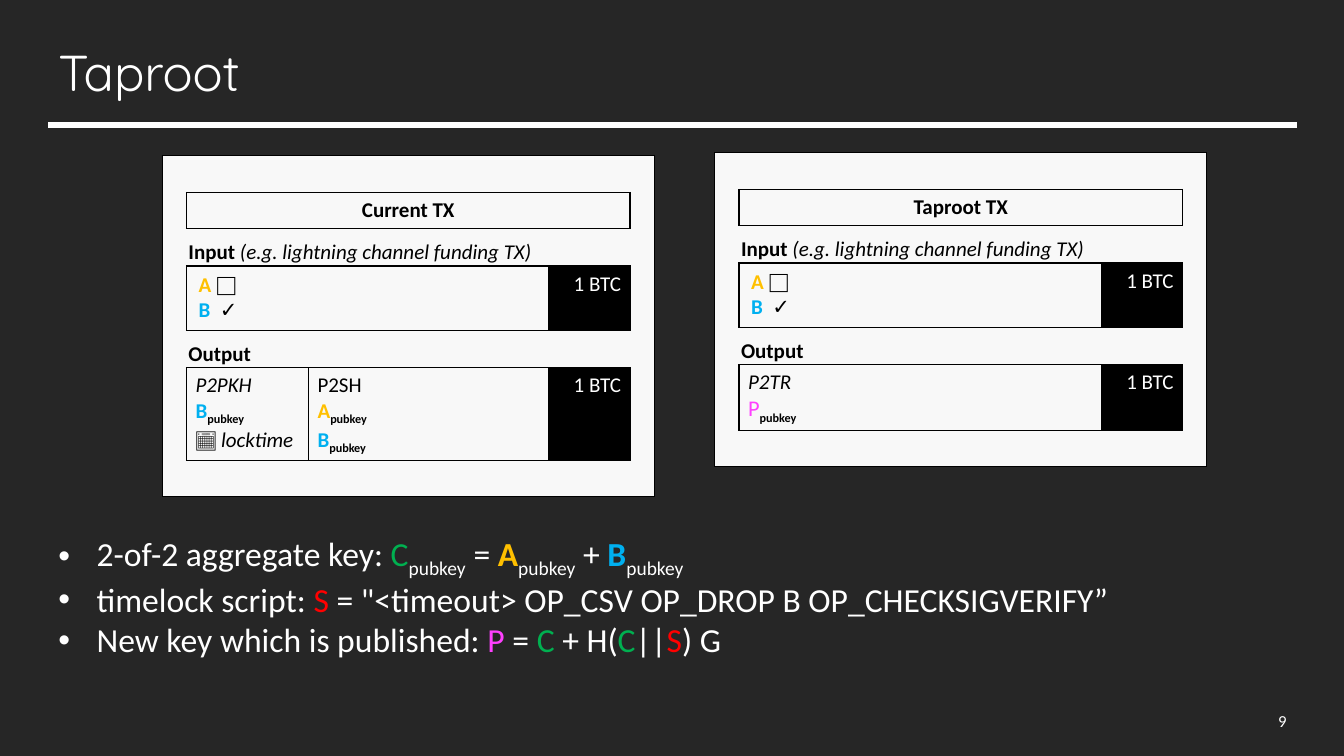
from dataclasses import dataclass
from itertools import product
from lxml.etree import SubElement
from pptx import Presentation
from pptx.dml.color import RGBColor
from pptx.enum.shapes import MSO_CONNECTOR
from pptx.enum.text import MSO_ANCHOR as Anchor, MSO_AUTO_SIZE as AutoSize, PP_ALIGN as Align
from pptx.oxml.ns import qn
from pptx.slide import Slide
from pptx.table import Table, _Cell as Cell
from pptx.text.text import TextFrame, _Paragraph as Para
from pptx.util import Inches, Pt

BACKGROUND = RGBColor(0x26, 0x26, 0x26)
PAPER = RGBColor(0xF8, 0xF8, 0xF8)
WHITE = RGBColor(0xFF, 0xFF, 0xFF)
BLACK = RGBColor(0x00, 0x00, 0x00)
GOLD = RGBColor(0xFF, 0xC0, 0x00)
BLUE = RGBColor(0x00, 0xB0, 0xF0)
GREEN = RGBColor(0x00, 0xB0, 0x50)
RED = RGBColor(0xFF, 0x00, 0x00)
PINK = RGBColor(0xFF, 0x40, 0xFF)
COLS = (0.24, 1.21, 1.64, 0.74, 0.81, 0.24)
BOX_ROWS = (1, 3, 5)
AMOUNT_COL = 4
MERGES = ((1, 4), (2, 4), (4, 4), (6, 3))


@dataclass(frozen=True)
class Run:
    text: str
    color: RGBColor | None = None
    bold: bool = False
    italic: bool = False
    sub: bool = False
    size: float | None = None


Lines = tuple[tuple[Run, ...], ...]


@dataclass(frozen=True)
class Transaction:
    title: str
    left: float
    top: float
    output_height: float
    outputs: tuple[Lines, ...]


@dataclass(frozen=True)
class Entry:
    row: int
    col: int
    lines: Lines
    inset: tuple[float, float] = (0.09, 0.05)
    align: Align = Align.LEFT
    anchor: Anchor = Anchor.TOP


def key(letter: str, color: RGBColor, bold: bool = True, size: float | None = None) -> tuple[Run, ...]:
    return Run(letter, color, bold, size=size), Run("pubkey", bold=True, sub=True)


def big_key(letter: str, color: RGBColor, bold: bool = True) -> tuple[Run, ...]:
    return Run(letter, color, bold), Run("pubkey", sub=True)


TRANSACTIONS = (
    Transaction("Current TX", 1.61, 1.54, 0.92, (
        ((Run("P2PKH", italic=True),), key("B", BLUE),
         (Run("📅 ", bold=True), Run("locktime", italic=True))),
        ((Run("P2SH"),), key("A", GOLD), key("B", BLUE)))),
    Transaction("Taproot TX", 7.09, 1.51, 0.64, (
        ((Run("P2TR", italic=True),), key("P", PINK, False, 16)),)),
)
BULLETS: Lines = (
    (Run("2-of-2 aggregate key: "), *big_key("C", GREEN, False), Run(" = "),
     *big_key("A", GOLD), Run(" + "), *big_key("B", BLUE)),
    (Run("timelock script: "), Run("S", RED),
     Run(' = "<timeout> OP_CSV OP_DROP B OP_CHECKSIGVERIFY”')),
    (Run("New key which is published: "), Run("P", PINK), Run(" = "), Run("C", GREEN),
     Run(" + H("), Run("C", GREEN), Run("||"), Run("S", RED), Run(") G")),
)


def write(tf: TextFrame, lines: Lines, size: float, color: RGBColor,
          align: Align = Align.LEFT, font: str = "Calibri") -> None:
    for i, runs in enumerate(lines):
        p = tf.paragraphs[0] if i == 0 else tf.add_paragraph()
        p.alignment = align
        for run in runs:
            r = p.add_run()
            r.text = run.text
            r.font.name, r.font.size = font, Pt(run.size or size)
            r.font.bold, r.font.italic = run.bold, run.italic
            r.font.color.rgb = run.color or color
            if run.sub:
                r._r.get_or_add_rPr().set("baseline", "-25000")


def add_text(s: Slide, box: tuple[float, float, float, float], lines: Lines, size: float,
             align: Align = Align.LEFT, font: str = "Calibri",
             anchor: Anchor = Anchor.MIDDLE) -> TextFrame:
    tf = s.shapes.add_textbox(*map(Inches, box)).text_frame
    tf.word_wrap, tf.vertical_anchor = True, anchor
    write(tf, lines, size, WHITE, align, font)
    return tf


def add_bullet(p: Para) -> None:
    pPr = p._p.get_or_add_pPr()
    pPr.set("marL", str(Inches(0.38)))
    pPr.set("indent", str(-Inches(0.38)))
    SubElement(pPr, qn("a:buFont"), typeface="Arial")
    SubElement(pPr, qn("a:buChar"), char="•")


def region(row: int, col: int, split: bool) -> str:
    if not (0 <= row <= 6 and 0 <= col <= 5):
        return "outside"
    if row not in BOX_ROWS or not 1 <= col <= AMOUNT_COL:
        return "frame"
    return "first output" if split and (row, col) == (5, 1) else "box"


def draw_borders(cell: Cell, row: int, col: int, split: bool) -> None:
    width = cell.span_width if cell.is_merge_origin else 1
    sides = {"L": (row, col - 1), "R": (row, col + width),
             "T": (row - 1, col), "B": (row + 1, col)}
    tcPr = cell._tc.get_or_add_tcPr()
    for side, neighbour in sides.items():
        ln = SubElement(tcPr, qn(f"a:ln{side}"), w=str(Pt(1)))
        if region(*neighbour, split) == region(row, col, split):
            SubElement(ln, qn("a:noFill"))
        else:
            SubElement(SubElement(ln, qn("a:solidFill")), qn("a:srgbClr"), val=str(BLACK))


def fill_entry(table: Table, entry: Entry) -> None:
    cell = table.cell(entry.row, entry.col)
    cell.margin_left = cell.margin_right = Inches(entry.inset[0])
    cell.margin_top = cell.margin_bottom = Inches(entry.inset[1])
    cell.vertical_anchor = entry.anchor
    color = WHITE if entry.col == AMOUNT_COL else BLACK
    write(cell.text_frame, entry.lines, 15, color, entry.align)


def add_transaction(s: Slide, tx: Transaction) -> None:
    rows = (0.37, 0.36, 0.37, 0.64, 0.37, tx.output_height, 0.36)
    table = s.shapes.add_table(len(rows), len(COLS), Inches(tx.left), Inches(tx.top),
                               Inches(sum(COLS)), Inches(sum(rows))).table
    table.first_row = table.horz_banding = False
    for column, width in zip(table.columns, COLS):
        column.width = Inches(width)
    for table_row, height in zip(table.rows, rows):
        table_row.height = Inches(height)
    for row, last in MERGES:
        table.cell(row, 1).merge(table.cell(row, last))
    for row, col in product(range(len(rows)), range(len(COLS))):
        cell = table.cell(row, col)
        cell.margin_left = cell.margin_right = cell.margin_top = cell.margin_bottom = 0
        draw_borders(cell, row, col, len(tx.outputs) > 1)
        cell.fill.solid()
        cell.fill.fore_color.rgb = BLACK if col == AMOUNT_COL and row in (3, 5) else PAPER
    label = {"inset": (0.02, 0.01), "anchor": Anchor.BOTTOM}
    amount = ((Run("1 BTC"),),)
    entries = [
        Entry(1, 1, ((Run(tx.title, bold=True),),), align=Align.CENTER),
        Entry(2, 1, ((Run("Input ", bold=True),
                      Run("(e.g. lightning channel funding TX)", italic=True)),), **label),
        Entry(3, 1, ((Run("A ", GOLD, True), Run("⬜", bold=True)),
                     (Run("B  ", BLUE, True), Run("✓", bold=True))), (0.12, 0.06)),
        Entry(4, 1, ((Run("Output", bold=True),),), **label),
        *(Entry(row, AMOUNT_COL, amount, align=Align.RIGHT) for row in (3, 5)),
        *(Entry(5, col, lines) for col, lines in enumerate(tx.outputs, 1)),
    ]
    for entry in entries:
        fill_entry(table, entry)


def main() -> None:
    """Build the Taproot slide."""
    prs = Presentation()
    prs.slide_width, prs.slide_height = Inches(13.33), Inches(7.5)
    s = prs.slides.add_slide(prs.slide_layouts[6])
    s.background.fill.solid()
    s.background.fill.fore_color.rgb = BACKGROUND

    rule = s.shapes.add_connector(MSO_CONNECTOR.STRAIGHT, Inches(0.48), Inches(1.24),
                                  Inches(12.86), Inches(1.24))
    rule.line.color.rgb, rule.line.width = WHITE, Pt(4.5)
    SubElement(rule._element.spPr, qn("a:effectLst"))

    title = add_text(s, (0.48, 0.4, 12.37, 0.7), ((Run("Taproot"),),), 36, font="Quicksand")
    title.paragraphs[0].line_spacing = 0.9
    add_text(s, (11.79, 6.95, 1.07, 0.4), ((Run("9"),),), 12, Align.RIGHT)
    for tx in TRANSACTIONS:
        add_transaction(s, tx)
    tf = add_text(s, (0.48, 5.24, 10.62, 1.72), BULLETS, 24, anchor=Anchor.TOP)
    tf.word_wrap, tf.auto_size = False, AutoSize.SHAPE_TO_FIT_TEXT
    for p in tf.paragraphs:
        add_bullet(p)
    prs.save("out.pptx")


if __name__ == "__main__":
    main()
